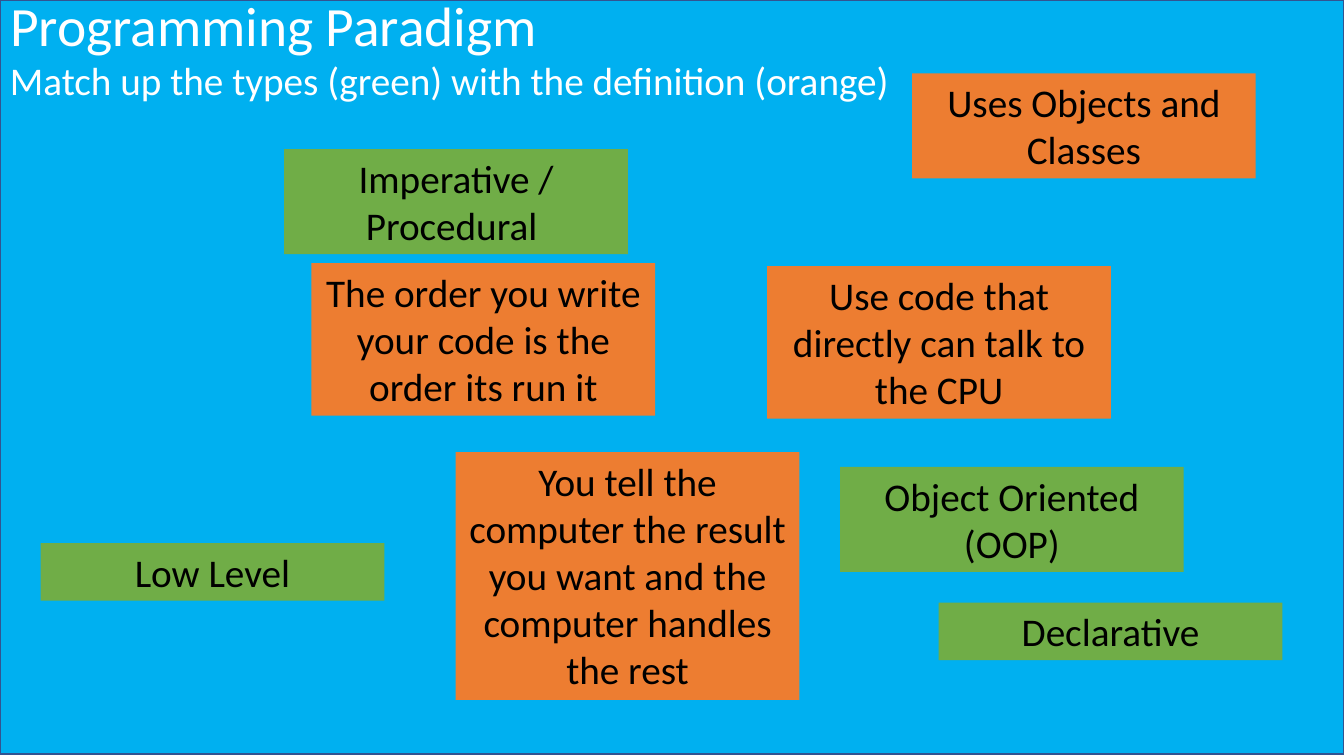
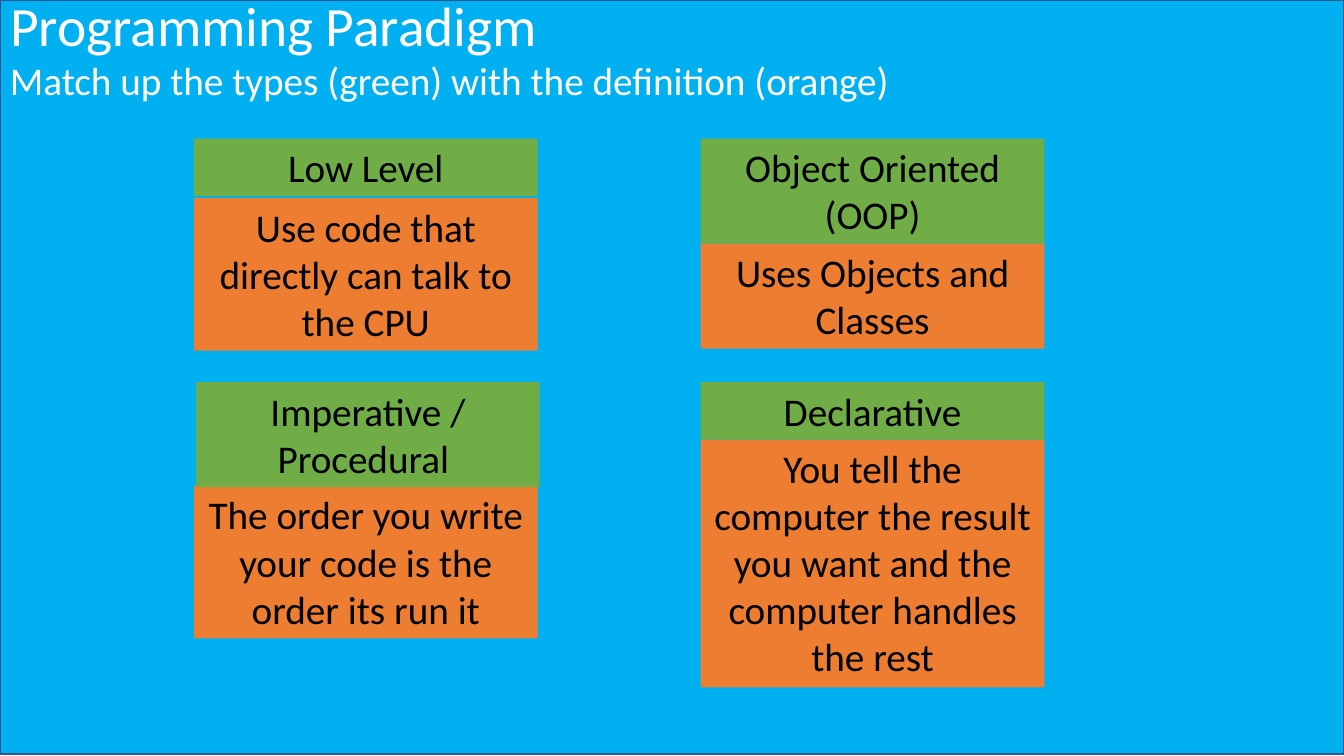
from collections import namedtuple

from pptx import Presentation
from pptx.dml.color import RGBColor
from pptx.enum.shapes import MSO_SHAPE
from pptx.enum.text import MSO_ANCHOR, MSO_AUTO_SIZE, PP_ALIGN
from pptx.util import Pt

SKY, EDGE, WHITE, BLACK = "00B0F0", "325491", "FFFFFF", "000000"
GREEN, ORANGE = "70AD47", "ED7D31"
FONT = "Calibri"
SLIDE_WIDTH, SLIDE_HEIGHT = 960, 540
CARD_WIDTH, LINE_HEIGHT, CARD_PADDING = 245.5, 34, 7

Card = namedtuple("Card", "text lines fill")
Paradigm = namedtuple("Paradigm", "kind definition")

LOW_LEVEL = Paradigm(
    Card("Low Level", 1, GREEN),
    Card("Use code that directly can talk to the CPU", 3, ORANGE))
OBJECT_ORIENTED = Paradigm(
    Card("Object Oriented (OOP)", 2, GREEN),
    Card("Uses Objects and Classes", 2, ORANGE))
IMPERATIVE = Paradigm(
    Card("Imperative / Procedural ", 2, GREEN),
    Card("The order you write your code is the order its run it", 3, ORANGE))
DECLARATIVE = Paradigm(
    Card("Declarative", 1, GREEN),
    Card("You tell the computer the result you want and the computer "
         "handles the rest", 5, ORANGE))


def colour(hex_code):
    return RGBColor.from_string(hex_code)


def style_text(frame, text, size, ink, align, spacing=1.0):
    frame.text = text
    frame.word_wrap = True
    frame.auto_size = MSO_AUTO_SIZE.NONE
    paragraph = frame.paragraphs[0]
    paragraph.alignment = align
    paragraph.line_spacing = spacing
    paragraph.font.name = FONT
    paragraph.font.size = Pt(size)
    paragraph.font.color.rgb = colour(ink)


def add_block(slide, left, top, width, height, fill):
    block = slide.shapes.add_shape(
        MSO_SHAPE.RECTANGLE, Pt(left), Pt(top), Pt(width), Pt(height))
    block.shadow.inherit = False
    block.fill.solid()
    block.fill.fore_color.rgb = colour(fill)
    block.line.fill.background()
    return block


def add_backdrop(layout, slide):
    backdrop = add_block(slide, 0, 0, SLIDE_WIDTH, 538.5, SKY)
    backdrop.line.color.rgb = colour(EDGE)
    backdrop.line.width = Pt(1)
    backdrop.element.nvSpPr.cNvPr.id = 20
    layout.placeholders[0].element.addprevious(backdrop.element)


def add_heading(slide):
    title = slide.shapes.title
    title.left, title.top = Pt(0), Pt(1.5)
    title.width, title.height = Pt(SLIDE_WIDTH), Pt(37.5)
    style_text(title.text_frame, "Programming Paradigm",
               39.6, WHITE, PP_ALIGN.LEFT, 0.9)
    title.text_frame.vertical_anchor = MSO_ANCHOR.MIDDLE
    task = slide.shapes.add_textbox(
        Pt(0), Pt(40.5), Pt(SLIDE_WIDTH), Pt(40))
    style_text(task.text_frame,
               "Match up the types (green) with the definition (orange)",
               28, WHITE, PP_ALIGN.LEFT, 0.9)


def card_height(card):
    return CARD_PADDING + card.lines * LINE_HEIGHT


def add_card(slide, card, left, top):
    block = add_block(slide, left, top, CARD_WIDTH, card_height(card), card.fill)
    style_text(block.text_frame, card.text, 28, BLACK, PP_ALIGN.CENTER)
    block.text_frame.vertical_anchor = MSO_ANCHOR.TOP


def add_pair(slide, paradigm, left, top, shift=0, gap=0):
    definition_top = top + card_height(paradigm.kind) + gap
    add_card(slide, paradigm.definition, left, definition_top)
    add_card(slide, paradigm.kind, left + shift, top)


def build_question(slide):
    add_heading(slide)
    for card, left, top in (
            (LOW_LEVEL.definition, 548, 190),
            (OBJECT_ORIENTED.definition, 651.5, 52.5),
            (IMPERATIVE.definition, 222.5, 188),
            (DECLARATIVE.definition, 325.5, 323),
            (LOW_LEVEL.kind, 29, 388),
            (IMPERATIVE.kind, 203, 106.5),
            (OBJECT_ORIENTED.kind, 600, 333.5),
            (DECLARATIVE.kind, 670.5, 430.5)):
        add_card(slide, card, left, top)


def build_answer(slide):
    add_heading(slide)
    left_column, right_column = 138.5, 500.5
    upper_row, lower_row = 99, 273
    add_pair(slide, LOW_LEVEL, left_column, upper_row, gap=1.5)
    add_pair(slide, OBJECT_ORIENTED, right_column, upper_row)
    add_pair(slide, IMPERATIVE, left_column, lower_row, shift=1.5, gap=-1)
    add_pair(slide, DECLARATIVE, right_column, lower_row)


def main():
    deck = Presentation()
    deck.slide_width, deck.slide_height = Pt(SLIDE_WIDTH), Pt(SLIDE_HEIGHT)
    layout = deck.slide_layouts[5]
    question, answer = (deck.slides.add_slide(layout) for _ in range(2))
    add_backdrop(layout, question)
    build_question(question)
    build_answer(answer)
    deck.save("out.pptx")


if __name__ == "__main__":
    main()
